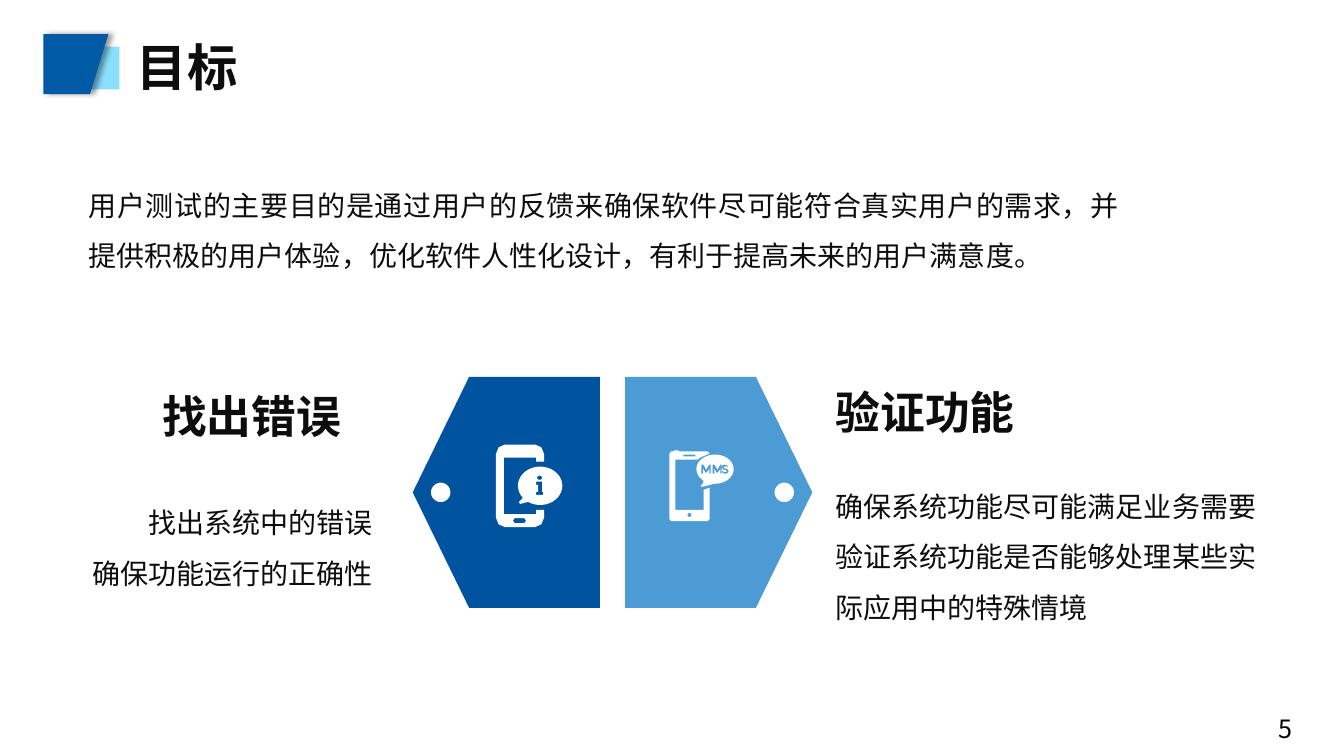
import math
from pptx import Presentation
from pptx.dml import color
from pptx.enum import shapes, text
from pptx.oxml import parse_xml
from pptx.oxml.ns import nsdecls
from pptx.util import Pt

FONT = "Noto Sans CJK SC"
COLORS = {"sky": "89DFFD", "banner": "005AA6", "navy": "00539E",
          "blue": "4D9BD4", "white": "FFFFFF", "ink": "0D0D0D", "black": "000000"}

presentation = Presentation()
presentation.slide_width, presentation.slide_height = Pt(960), Pt(540)
slide = presentation.slides.add_slide(presentation.slide_layouts[6])


def oval(left, top, width, height, start=0, end=360):
    """Points along an ellipse, angles in degrees clockwise from the right."""
    steps = 36
    angles = [math.radians(start + (end - start) * i / steps) for i in range(steps + 1)]
    return [(left + width / 2 * (1 + math.cos(a)), top + height / 2 * (1 + math.sin(a)))
            for a in angles]


def add_outline(contours, fill, left=0, top=0):
    """One shape from several closed contours; inner contours are holes."""
    placed = [[(Pt(left + x), Pt(top + y)) for x, y in contour] for contour in contours]
    builder = slide.shapes.build_freeform(*placed[0][0])
    builder.add_line_segments(placed[0][1:])
    for contour in placed[1:]:
        builder.move_to(*contour[0])
        builder.add_line_segments(contour[1:])
    shape = builder.convert_to_shape()
    shape.shadow.inherit = False
    shape.fill.solid()
    shape.fill.fore_color.rgb = color.RGBColor.from_string(COLORS[fill])
    shape.line.fill.background()
    return shape


# Title banner
square = slide.shapes.add_shape(shapes.MSO_SHAPE.RECTANGLE, Pt(49.7), Pt(33.3), Pt(35.6), Pt(30.5))
square.shadow.inherit = False
square.fill.solid()
square.fill.fore_color.rgb = color.RGBColor.from_string(COLORS["sky"])
square.line.fill.background()

banner = add_outline([[(31, 24.5), (77.4, 24.5), (64.3, 67.2), (31, 67.2)]], "banner")
effects = banner._element.spPr.find("{*}effectLst")
effects.append(parse_xml(
    f'<a:outerShdw {nsdecls("a")} blurRad="{Pt(4)}" dist="{Pt(3)}" dir="0" algn="l" rotWithShape="0">'
    f'<a:srgbClr val="{COLORS["black"]}"><a:alpha val="40000"/></a:srgbClr></a:outerShdw>'))

# Mirrored tags, each with a round hole
CENTER, TOP, MIDDLE, BOTTOM = 437.5, 269.2, 351.7, 434.2
for side, fill in ((1, "blue"), (-1, "navy")):
    tag = [(CENTER + side * x, y) for x, y in
           ((9, TOP), (102.4, TOP), (142.7, MIDDLE), (102.4, BOTTOM), (9, BOTTOM))]
    hole = oval(CENTER + side * 122.7 - 7, MIDDLE - 7, 14, 14)
    add_outline([tag, hole], fill)

# Phone with information bubble
info_phone = [(6.5, 0), (28, 0), (32.5, 2), (34.6, 7), (34.6, 12.2), (28.8, 12.2), (28.8, 9.4),
              (5.8, 9.4), (5.8, 49.7), (28.8, 49.7), (28.8, 46.8), (34.6, 46.8), (34.6, 52),
              (32.5, 57), (28, 59), (6.5, 59), (2, 57), (0, 52), (0, 7), (2, 2)]
home_button = [(13.5, 52.6), (20.3, 52.6), (21.6, 54.4), (20.3, 56.2), (13.5, 56.2), (12.2, 54.4)]
info_bubble = oval(15.8, 15.8, 31.7, 27.4, 141, 483) + [(17.3, 42.5), (16.6, 41)]
letter_i = [(28.8, 26.6), (33.1, 26.6), (33.1, 33.8), (33.8, 33.8), (33.8, 36), (28.8, 36),
            (28.8, 33.8), (30.2, 33.8), (30.2, 28.8), (28.8, 28.8)]
add_outline([info_phone, home_button, info_bubble, letter_i, oval(29.5, 22.3, 3.6, 2.9)],
            "white", 354.2, 317.5)

# Phone with message bubble
message_phone = [(0, 2.2), (1.4, 0.7), (2.9, 0.7), (3.6, 0), (6.5, 0), (7.2, 0.7), (27.4, 0.7),
                 (28.8, 2.2), (22.3, 5), (20.2, 6.5), (4.3, 6.5), (4.3, 42.5), (24.5, 42.5),
                 (24.5, 28.1), (28.8, 26.6), (28.8, 49), (27.4, 50.4), (1.4, 50.4), (0, 49)]
speaker = [(10.1, 2.9), (18.7, 2.9), (18.7, 4.3), (10.1, 4.3)]
message_bubble = oval(19.4, 2.9, 26.6, 20.9, 128, 452) + [(23.8, 25.9), (22.3, 25.6), (24, 23.5)]
letter_m = [(0, 0), (1.4, 0), (3.4, 3.6), (5.4, 0), (6.5, 0), (6.5, 6.5), (5.6, 6.5),
            (5.6, 3), (3.7, 5.8), (2.9, 5.8), (1.2, 3), (1.2, 6.5), (0, 6.5)]
letters_m = [[(left + x, 10.1 + y) for x, y in letter_m] for left in (23, 31)]
letter_s = [(42.1, 10.9), (41.5, 11.7), (40, 11.3), (38.9, 11.9), (39.2, 12.6), (41.5, 13.3),
            (42.5, 14.8), (41.5, 16.4), (39.3, 16.6), (37.3, 15.4), (38, 14.7), (39.6, 15.5),
            (41, 15), (40.6, 14.3), (38.4, 13.6), (37.4, 12.2), (38, 10.5), (39.6, 10.1)]
add_outline([message_phone, speaker, oval(13, 44.6, 2.9, 2.9), message_bubble, *letters_m, letter_s],
            "white", 478.1, 321.8)

# Texts: box, size, bold, line spacing, alignment, colour, paragraphs
LEFT, RIGHT, JUSTIFY = text.PP_ALIGN.LEFT, text.PP_ALIGN.RIGHT, text.PP_ALIGN.JUSTIFY
texts = [
    ((56.2, 118.8, 750.2, 75.6), 20, False, 1.5, JUSTIFY, "ink",
     ["用户测试的主要目的是通过用户的反馈来确保软件尽可能符合真实用户的需求，并"
      "提供积极的用户体验，优化软件人性化设计，有利于提高未来的用户满意度。"]),
    ((12.2, 345.6, 261.4, 75.6), 20, False, 1.5, RIGHT, "ink",
     ["找出系统中的错误", "确保功能运行的正确性"]),
    ((108.7, 274.3, 150.5, 46), 32, True, 1, LEFT, "ink", ["找出错误"]),
    ((589.7, 334.1, 317.5, 112.3), 20, False, 1.5, LEFT, "ink",
     ["确保系统功能尽可能满足业务需要", "验证系统功能是否能够处理某些实际应用中的特殊情境"]),
    ((589.7, 271.4, 184.3, 46), 32, True, 1, LEFT, "ink", ["验证功能"]),
    ((90.7, 22.3, 87.1, 51.1), 36, True, 1, LEFT, "ink", ["目标"]),
    ((906.5, 506.2, 39.6, 26.6), 18, False, 1, LEFT, "black", ["5"]),
]
for box, size, bold, spacing, alignment, ink, lines in texts:
    frame = slide.shapes.add_textbox(*map(Pt, box)).text_frame
    frame.word_wrap = lines != ["目标"]
    frame.auto_size = text.MSO_AUTO_SIZE.SHAPE_TO_FIT_TEXT
    frame.text = "\n".join(lines)
    for paragraph in frame.paragraphs:
        paragraph.alignment = alignment
        paragraph.line_spacing = spacing
        font = paragraph.font
        font.size, font.bold, font.name = Pt(size), bold, FONT
        font.color.rgb = color.RGBColor.from_string(COLORS[ink])
        latin = font._element.find("{*}latin")
        latin.addnext(parse_xml(f'<a:ea {nsdecls("a")} typeface="{FONT}"/>'))

presentation.save("out.pptx")
